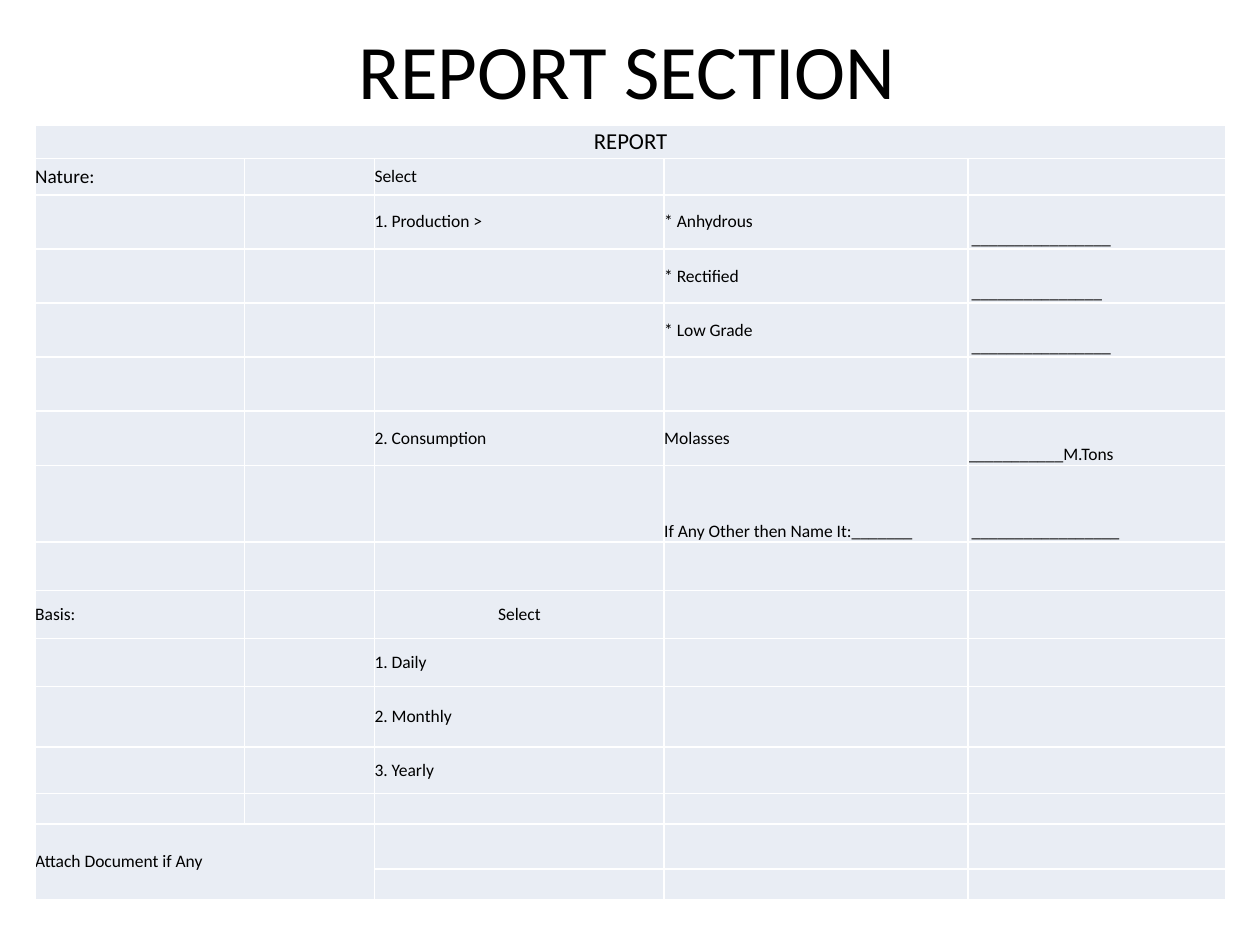
from pptx import Presentation
from pptx.dml.color import RGBColor
from pptx.enum.text import MSO_ANCHOR as Anchor, PP_ALIGN as Align
from pptx.util import Cm, Pt

# Content: rows as (height in cm, {column: text})
TITLE = "REPORT SECTION"
COLUMNS = [4.22, 2.62, 5.84, 6.12, 5.2]
ROWS = [
    (0.67, {0: "REPORT"}),
    (0.73, {0: "Nature:", 2: "Select"}),
    (1.09, {2: "1. Production >", 3: "* Anhydrous", 4: " ________________"}),
    (1.09, {3: "* Rectified", 4: " _______________"}),
    (1.09, {3: "* Low Grade", 4: " ________________"}),
    (1.09, {}),
    (1.09, {2: "2. Consumption", 3: "Molasses", 4: "___________M.Tons"}),
    (1.55, {3: "If Any Other then Name It:_______", 4: " _________________"}),
    (0.97, {}),
    (0.97, {0: "Basis:", 2: "Select"}),
    (0.97, {2: "1. Daily"}),
    (1.22, {2: "2. Monthly"}),
    (0.94, {2: "3. Yearly"}),
    (0.61, {}),
    (0.91, {0: "Attach Document if Any"}),
    (0.61, {}),
]
MERGES = [((0, 0), (0, 4)), ((14, 0), (15, 1))]
SIZES = {(0, 0): 13, (1, 0): 11}
CENTRED = {(0, 0), (9, 2)}
FONT, INK, CELL_FILL = "Calibri", "000000", "E9EDF4"


def colour(value):
    return RGBColor.from_string(value)


def style(para, size, align):
    para.alignment = align
    para.font.name = FONT
    para.font.size = Pt(size)
    para.font.color.rgb = colour(INK)


deck = Presentation()
deck.slide_width, deck.slide_height = Cm(25.4), Cm(19.05)
page = deck.slides.add_slide(deck.slide_layouts[5])

# Title
title = page.shapes.title
title.left, title.top, title.width, title.height = Cm(1.22), Cm(0), Cm(22.86), Cm(2.77)
title.text_frame.text = TITLE
title.text_frame.vertical_anchor = Anchor.MIDDLE
style(title.text_frame.paragraphs[0], 44, Align.CENTER)

# Report form
heights = [height for height, _ in ROWS]
form = page.shapes.add_table(
    len(ROWS), len(COLUMNS), Cm(0.71), Cm(2.53), Cm(sum(COLUMNS)), Cm(sum(heights))
).table
form.first_row = form.horz_banding = False
for column, width in zip(form.columns, COLUMNS):
    column.width = Cm(width)

for r, (height, texts) in enumerate(ROWS):
    form.rows[r].height = Cm(height)
    for c in range(len(COLUMNS)):
        cell = form.cell(r, c)
        cell.fill.solid()
        cell.fill.fore_color.rgb = colour(CELL_FILL)
        cell.margin_left = cell.margin_right = cell.margin_top = cell.margin_bottom = 0
        text = texts.get(c, "")
        cell.text = text
        # Blanks to fill in sit on the bottom line of their cell
        cell.vertical_anchor = Anchor.BOTTOM if "__" in text else Anchor.MIDDLE
        align = Align.CENTER if (r, c) in CENTRED else Align.LEFT
        style(cell.text_frame.paragraphs[0], SIZES.get((r, c), 10), align)

for first, last in MERGES:
    form.cell(*first).merge(form.cell(*last))

deck.save("out.pptx")
